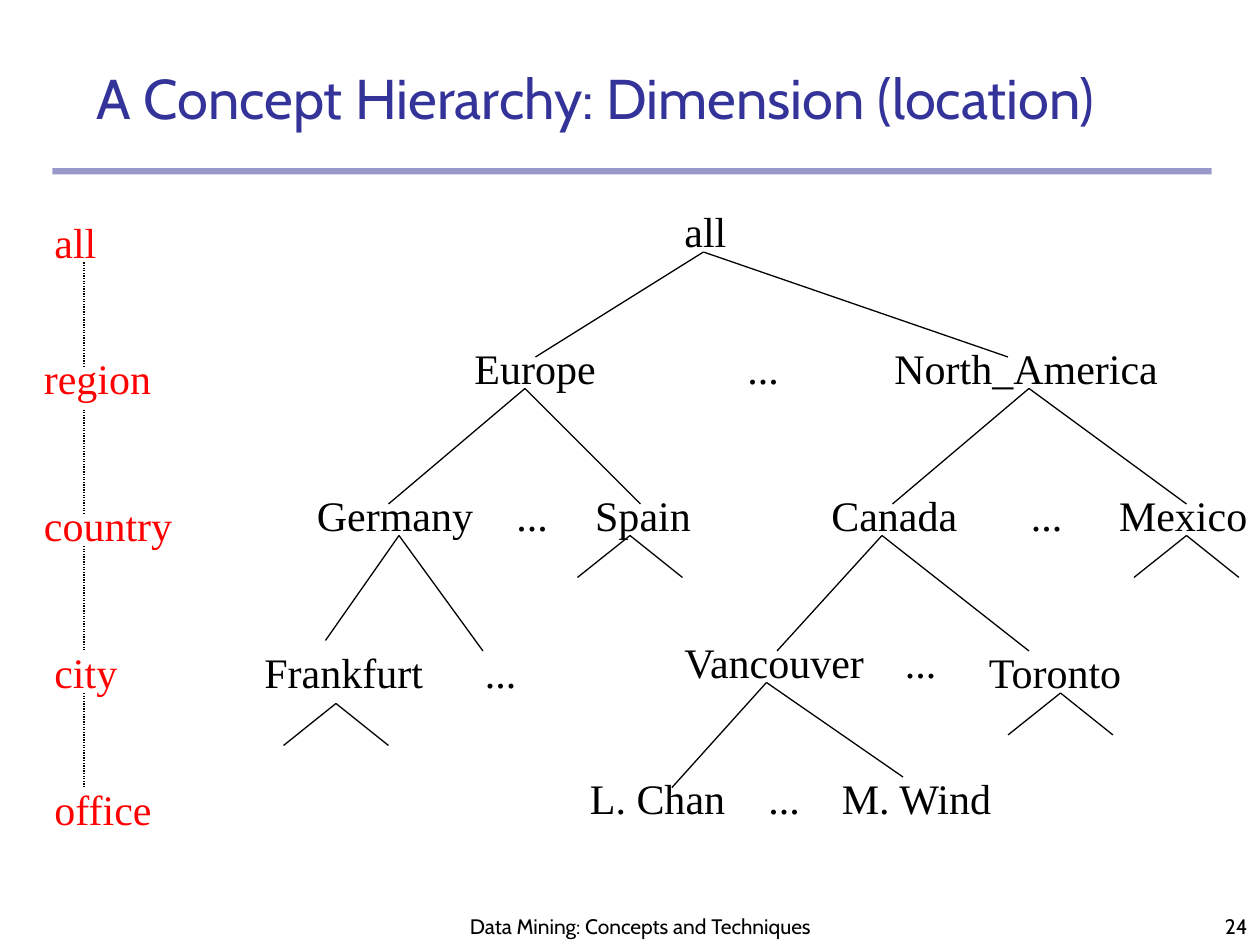
from collections import namedtuple

from lxml.etree import SubElement
from pptx import Presentation
from pptx.dml.color import RGBColor
from pptx.enum.dml import MSO_LINE_DASH_STYLE as Dash
from pptx.enum.shapes import MSO_CONNECTOR as Connector, MSO_SHAPE as Shape
from pptx.enum.text import MSO_ANCHOR as Anchor, MSO_AUTO_SIZE as AutoSize, PP_ALIGN as Align
from pptx.oxml.ns import qn
from pptx.util import Inches, Pt

# Every place and length is counted in cells of a grid with 12 cells to the inch
Box = namedtuple("Box", "left top width height")
COLUMNS, ROWS = 120, 90
BLACK, RED, NAVY = "000000", "FF0000", "333399"
SERIF, SANS = "Times New Roman", "Cabin"
LABEL_HEIGHT = 6


def cells(count):
    return Inches(count / 12)


def color(hex_string):
    return RGBColor.from_string(hex_string)


def add_text(page, box, text, font=SERIF, size=24, ink=BLACK, **frame_format):
    """Put one line of text in a box; align goes to the paragraph."""
    shape = page.shapes.add_textbox(*map(cells, box))
    frame = shape.text_frame
    para = frame.paragraphs[0]
    para.alignment = frame_format.pop("align", Align.LEFT)
    for name, value in frame_format.items():
        setattr(frame, name, value)
    span = para.add_run()
    span.text = text
    for name, value in {"name": font, "size": Pt(size)}.items():
        setattr(span.font, name, value)
    span.font.color.rgb = color(ink)


def add_label(page, box, column, row, width, text, ink=BLACK):
    place = Box(box.left + column, box.top + row, width, LABEL_HEIGHT)
    add_text(page, place, text, ink=ink, word_wrap=False,
             auto_size=AutoSize.SHAPE_TO_FIT_TEXT)


def add_line(page, box, start, end, dash=None):
    ends = [cells(offset + value) for point in (start, end)
            for offset, value in zip(box[:2], point)]
    line = page.shapes.add_connector(Connector.STRAIGHT, *ends)
    line.line.color.rgb = color(BLACK)
    line.line.width = Pt(0.75)
    if dash:
        line.line.dash_style = dash
    SubElement(line._element.spPr, qn("a:effectLst"))


def add_header(page, box):
    # Title
    title = Box(box.left + 3, box.top, 105, 8)
    add_text(page, title, "A Concept Hierarchy: Dimension (location)", SANS, 32, NAVY,
             word_wrap=True, vertical_anchor=Anchor.BOTTOM)
    # Half transparent rule
    rule = page.shapes.add_shape(Shape.RECTANGLE, cells(box.left), cells(box.top + 11),
                                 cells(box.width), cells(0.6))
    rule.shadow.inherit = False
    rule.line.fill.background()
    rule.fill.solid()
    rule.fill.fore_color.rgb = color(NAVY)
    tint = rule._element.spPr.find(qn("a:solidFill"))[0]
    SubElement(tint, qn("a:alpha"), val="50000")


def add_levels(page, box):
    # Names of the levels: column, row, width
    for label in [(1, 0, 6.6, "all"), (0, 13, 12.8, "region"), (0, 27, 14.8, "country"),
                  (1, 41, 8.6, "city"), (1, 54, 11.9, "office")]:
        add_label(page, box, *label, ink=RED)
    # Dotted links between the levels
    for top, bottom in [(5, 15), (19, 29), (32, 42), (46, 55)]:
        add_line(page, box, (5, top), (5, bottom), Dash.ROUND_DOT)


def add_tree(page, box):
    # Places: column, row, width
    for label in [
        (40, 0, 6.6, "all"),
        (20, 13, 14.1, "Europe"), (60, 13, 27.7, "North_America"),
        (5, 27, 17.5, "Germany"), (31.5, 27, 11.7, "Spain"),
        (54, 27, 14.6, "Canada"), (81.4, 27, 14.6, "Mexico"),
        (0, 42, 17.7, "Frankfurt"), (40, 41, 20.1, "Vancouver"), (69, 42, 15.4, "Toronto"),
        (31, 54, 15.5, "L. Chan"), (55, 54, 17, "M. Wind"),
    ]:
        add_label(page, box, *label)

    # Siblings left out
    for column, row in [(46, 13), (24, 27), (73, 27), (21, 42), (61, 41), (48, 54)]:
        add_label(page, box, column, row, 5.5, "...")

    # Branches from each parent to its two children
    forks = [
        ((43, 5), (27, 15), (72, 15)),
        ((26, 18), (13, 29), (37, 29)),
        ((74, 18), (61, 29), (89, 29)),
        ((14, 32), (7, 42), (22, 43)),
        ((60, 32), (50, 43), (74, 43)),
        ((49, 46), (40, 56), (62, 55)),
    ]
    # Short open branches under Spain, Mexico, Frankfurt and Toronto
    forks += [((column, row), (column - 5, row + 4), (column + 5, row + 4))
              for column, row in [(36, 32), (89, 32), (8, 48), (77, 47)]]
    for parent, *children in forks:
        for child in children:
            add_line(page, box, parent, child)


def add_footer(page, box):
    style = dict(font=SANS, size=12, word_wrap=True, vertical_anchor=Anchor.BOTTOM)
    add_text(page, Box(box.left + 42, box.top, 38, box.height),
             "Data Mining: Concepts and Techniques", align=Align.CENTER, **style)
    add_text(page, Box(box.left + box.width - 25, box.top, 25, box.height),
             "24", align=Align.RIGHT, **style)


def main():
    deck = Presentation()
    deck.slide_width, deck.slide_height = cells(COLUMNS), cells(ROWS)
    page = deck.slides.add_slide(deck.slide_layouts[6])
    add_header(page, Box(5, 5, 110.4, 12))
    add_levels(page, Box(3, 20, 15, 60))
    add_tree(page, Box(24, 19, 96, 60))
    add_footer(page, Box(0, 83, COLUMNS, 7))
    deck.save("out.pptx")


if __name__ == "__main__":
    main()
